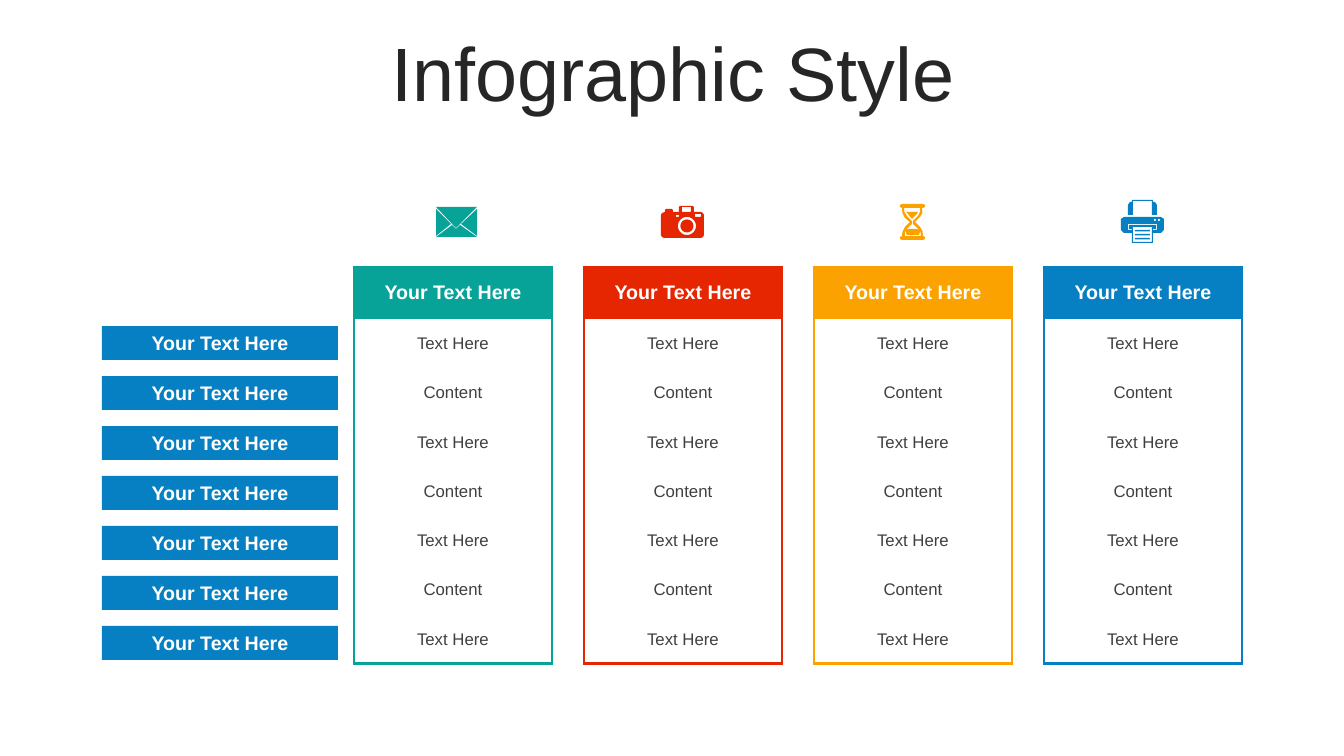
"""Build a comparison slide with four bordered columns, row labels and icons."""
import math

import lxml.etree
import pptx
import pptx.dml.color
import pptx.enum.shapes
import pptx.enum.text
import pptx.oxml.ns
import pptx.util

THEME = {
    "font": "Arial",
    "teal": "07A398", "red": "E62601", "amber": "FBA200", "blue": "0680C3",
    "white": "FFFFFF", "title": "262626", "body": "404040",
    "title_size": 54, "label_size": 14, "body_size": 12, "border": 2.25,
}
PX = 12192000 / 1344


def write_text(frame, text, size, color, bold=False, line_spacing=None):
    frame.word_wrap = True
    paragraph = frame.paragraphs[0]
    paragraph.alignment = pptx.enum.text.PP_ALIGN.CENTER
    paragraph.space_before = pptx.util.Pt(0)
    if line_spacing:
        paragraph.line_spacing = line_spacing
    run = paragraph.add_run()
    run.text = text
    run.font.name = THEME["font"]
    run.font.size = pptx.util.Pt(THEME[size])
    run.font.bold = bold
    run.font.color.rgb = pptx.dml.color.RGBColor.from_string(THEME[color])


def box(left, top, right, bottom):
    return [(left, top), (right, top), (right, bottom), (left, bottom)]


lens_rings = [
    [(26 + radius * math.cos(math.radians(angle)), 20 + radius * math.sin(math.radians(angle)))
     for angle in range(0, 360, 10)]
    for radius in (6.5, 9)
]
envelope = [
    [(24, 18), (41, 30), (0, 30), (16, 18), (20, 22)],
    [(41, 2), (41, 29), (25, 17)],
    [(0, 2), (15, 17), (0, 29)],
    [(0, 0), (41, 0), (20, 21)],
]
camera = lens_rings + [
    box(15, 9, 18, 11),
    box(34, 8, 40, 11),
    box(21, 1, 30, 6),
    [(19, 0), (32, 0), (33, 1), (33, 6), (40, 6), (42, 7), (43, 9), (43, 29), (42, 31),
     (40, 32), (3, 32), (1, 31), (0, 29), (0, 9), (1, 7), (4, 6), (4, 4), (5, 3),
     (11, 3), (12, 4), (12, 6), (18, 6), (18, 1)],
]
hourglass = [
    [(6, 26), (9, 25), (16, 25), (19, 26), (20, 28), (19, 31), (7, 31), (6, 29)],
    [(6, 8), (18, 8), (17, 10), (12, 15), (8, 10)],
    [(4, 4), (4.5, 8), (7, 12), (12, 17), (12, 20), (7, 25), (5, 28), (5, 32),
     (21, 32), (20.5, 28), (18, 25), (13, 20), (13, 17), (18, 12), (20, 8), (20, 4)],
    [(2, 0), (23, 0), (25, 1), (25, 3), (23, 4), (22, 4), (22.5, 9), (20, 13), (15, 18),
     (20, 23), (22.5, 27), (23, 32), (25, 33), (25, 35), (23, 36), (2, 36), (0, 35),
     (0, 33), (2, 32), (2.5, 28), (5, 23), (10, 18), (5, 14), (2.5, 9), (2, 4),
     (0, 3), (0, 1)],
]
printer = [box(14, top, 29, top + 1.5) for top in (30, 34, 38)] + [
    box(12, 27, 31, 42),
    [(7, 24), (7, 30), (11, 30), (11, 29), (8, 29), (8, 25), (35, 25), (35, 29),
     (32, 29), (32, 30), (36, 30), (36, 24)],
    box(37, 19, 39, 21),
    box(33, 19, 35, 21),
    [(3, 17), (40, 17), (43, 19), (43, 30), (40, 33), (32, 33), (32, 43), (11, 43),
     (11, 33), (3, 33), (0, 30), (0, 19)],
    [(11, 0), (32, 0), (32, 2), (34, 2), (36, 5), (36, 15), (31, 15), (31, 1),
     (12, 1), (12, 15), (7, 15), (7, 5), (9, 2), (11, 2)],
]
columns = [
    ("teal", envelope, 436, 207),
    ("red", camera, 661, 206),
    ("amber", hourglass, 900, 204),
    ("blue", printer, 1121, 200),
]
cell_texts = ["Your Text Here"] + ["Text Here", "Content"] * 3 + ["Text Here"]
last_row = len(cell_texts) - 1

presentation = pptx.Presentation()
presentation.slide_width = round(1344 * PX)
presentation.slide_height = round(756 * PX)
slide = presentation.slides.add_slide(presentation.slide_layouts[5])

title = slide.shapes.title
title.left, title.top, title.width, title.height = [round(n * PX) for n in (35, 37, 1276, 80)]
title.text_frame.auto_size = pptx.enum.text.MSO_AUTO_SIZE.NONE
title.text_frame.vertical_anchor = pptx.enum.text.MSO_ANCHOR.MIDDLE
write_text(title.text_frame, "Infographic Style", "title_size", "title", line_spacing=0.9)

for index in range(last_row):
    label = slide.shapes.add_shape(
        pptx.enum.shapes.MSO_SHAPE.RECTANGLE,
        *[round(n * PX) for n in (102, 326 + 50 * index, 236, 34)])
    label.shadow.inherit = False
    label.fill.solid()
    label.fill.fore_color.rgb = pptx.dml.color.RGBColor.from_string(THEME["blue"])
    label.line.fill.background()
    label.text_frame.vertical_anchor = pptx.enum.text.MSO_ANCHOR.MIDDLE
    write_text(label.text_frame, "Your Text Here", "label_size", "white", bold=True)

for index, (color, contours, icon_left, icon_top) in enumerate(columns):
    column_color = pptx.dml.color.RGBColor.from_string(THEME[color])
    frame = slide.shapes.add_table(
        len(cell_texts), 1, *[round(n * PX) for n in (354 + 230 * index, 267, 198, 397)])
    table = frame.table
    table.first_row = False
    table.horz_banding = False
    for row, text in enumerate(cell_texts):
        is_header = row == 0
        table.rows[row].height = round((52 if is_header else 345 / last_row) * PX)
        cell = table.cell(row, 0)
        cell.vertical_anchor = pptx.enum.text.MSO_ANCHOR.MIDDLE
        if is_header:
            write_text(cell.text_frame, text, "label_size", "white", bold=True)
        else:
            write_text(cell.text_frame, text, "body_size", "body")
        properties = cell._tc.get_or_add_tcPr()
        sides = {"lnL": True, "lnR": True, "lnT": is_header, "lnB": row == last_row}
        for side, visible in sides.items():
            border = lxml.etree.SubElement(properties, pptx.oxml.ns.qn("a:" + side))
            if visible:
                border.set("w", str(pptx.util.Pt(THEME["border"])))
                fill = lxml.etree.SubElement(border, pptx.oxml.ns.qn("a:solidFill"))
                lxml.etree.SubElement(fill, pptx.oxml.ns.qn("a:srgbClr"), val=THEME[color])
            else:
                lxml.etree.SubElement(border, pptx.oxml.ns.qn("a:noFill"))
        if is_header:
            cell.fill.solid()
            cell.fill.fore_color.rgb = column_color
        else:
            cell.fill.background()

    builder = None
    for contour in contours:
        points = [(x * 10, y * 10) for x, y in contour]
        if builder is None:
            builder = slide.shapes.build_freeform(*points[0], scale=PX / 10)
        else:
            builder.move_to(*points[0])
        builder.add_line_segments(points[1:], close=True)
    icon = builder.convert_to_shape(round(icon_left * PX), round(icon_top * PX))
    icon.shadow.inherit = False
    icon.fill.solid()
    icon.fill.fore_color.rgb = column_color
    icon.line.fill.background()

presentation.save("out.pptx")
